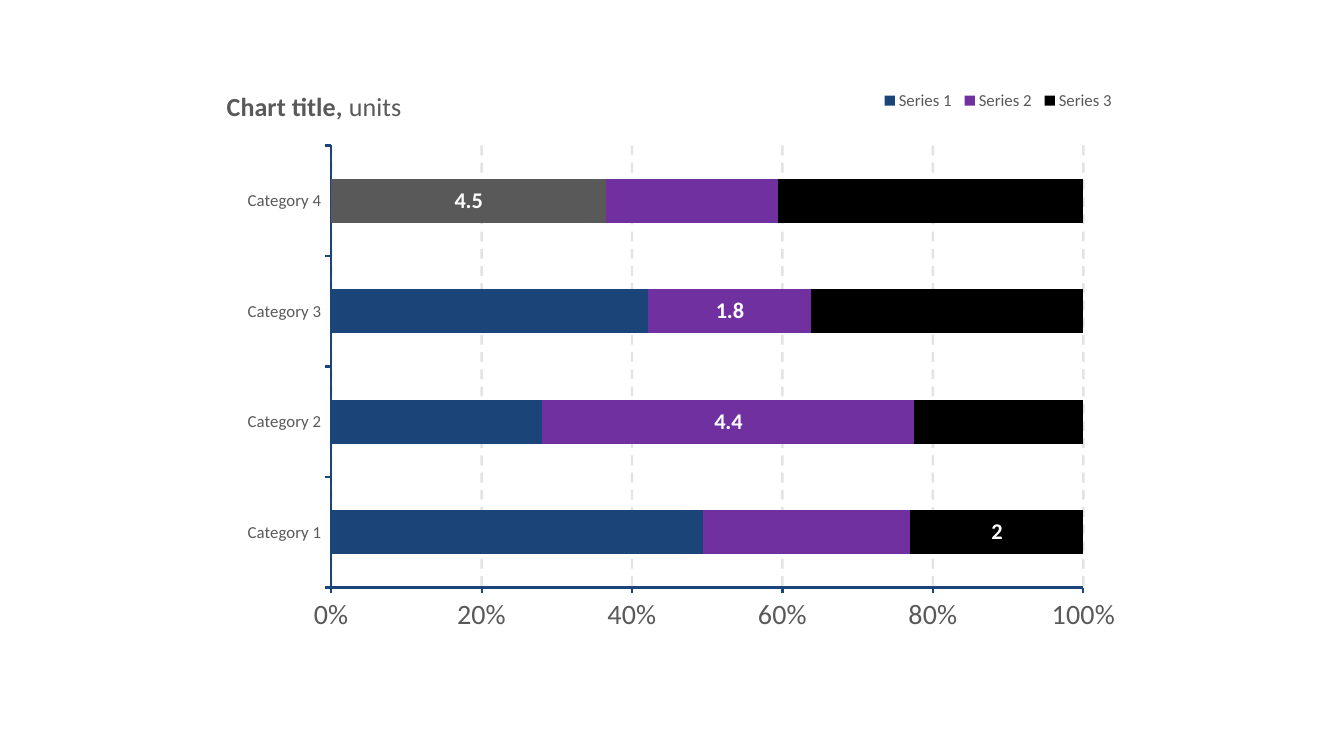
from dataclasses import dataclass

from lxml import etree
from pptx import Presentation
from pptx import util as u
from pptx.chart.data import CategoryChartData
from pptx.dml.color import RGBColor
from pptx.enum import chart as charts, dml
from pptx.oxml.ns import qn


@dataclass(frozen=True)
class Theme:
    font: str = "Calibri"
    navy: str = "1B4479"
    purple: str = "7030A0"
    black: str = "000000"
    gray: str = "595959"
    grid: str = "D9D9D9"
    white: str = "FFFFFF"
    base_size: float = 10
    small_size: float = 12
    label_size: float = 16
    title_size: float = 18.6
    scale_size: float = 20


class SlideBuilder:
    EMU_PER_PX = 9525

    def __init__(self, theme, width, height):
        self.theme = theme
        self.deck = Presentation()
        self.deck.slide_width = self.px(width)
        self.deck.slide_height = self.px(height)
        self.page = self.deck.slides.add_slide(self.deck.slide_layouts[6])

    def px(self, length):
        return u.Emu(length * self.EMU_PER_PX)

    def style(self, font, size, color, bold=False):
        font.name = self.theme.font
        font.size = u.Pt(size)
        font.bold = bold
        font.color.rgb = RGBColor.from_string(color)

    def stroke(self, line, color, width):
        line.color.rgb = RGBColor.from_string(color)
        line.width = u.Pt(width)

    def fill(self, target, color):
        target.format.fill.solid()
        target.format.fill.fore_color.rgb = RGBColor.from_string(color)

    def place(self, chart, tag, x, y, w=None, h=None):
        """Place a chart part by fractions of the chart area."""
        part = chart.element.xpath(f"//c:{tag}")[0]
        for old in part.findall(qn("c:layout")):
            part.remove(old)
        layout = etree.Element(qn("c:layout"))
        manual = etree.SubElement(layout, qn("c:manualLayout"))
        settings = {"xMode": "edge", "yMode": "edge", "x": x, "y": y, "w": w, "h": h}
        if tag == "plotArea":
            settings = {"layoutTarget": "inner", **settings}
        for name, value in settings.items():
            if value is not None:
                etree.SubElement(manual, qn(f"c:{name}"), val=str(value))
        part.insert(0 if tag == "plotArea" else 1, layout)

    def bar_chart(self, box, categories, series):
        data = CategoryChartData()
        data.categories = categories
        for name, values, *_ in series:
            data.add_series(name, values)
        frame = self.page.shapes.add_chart(
            charts.XL_CHART_TYPE.BAR_STACKED_100, *map(self.px, box), data)
        chart = frame.chart
        self.style(chart.font, self.theme.base_size, self.theme.black)
        plot = chart.plots[0]
        plot.gap_width, plot.overlap = 150, 100
        plot.vary_by_categories = False
        for bars, (_, _, color, labelled) in zip(plot.series, series):
            self.fill(bars, color)
            bars.data_labels.show_value = False
            for index in labelled:
                label = bars.points[index].data_label
                self.style(label.font, self.theme.label_size, self.theme.white, True)
                label.position = charts.XL_LABEL_POSITION.CENTER
        return chart

    def axis(self, axis, size, width):
        axis.major_tick_mark = charts.XL_TICK_MARK.OUTSIDE
        axis.minor_tick_mark = charts.XL_TICK_MARK.NONE
        self.style(axis.tick_labels.font, size, self.theme.gray)
        self.stroke(axis.format.line, self.theme.navy, width)

    def percent_scale(self, chart):
        axis = chart.value_axis
        axis.minimum_scale, axis.maximum_scale, axis.major_unit = 0, 1, 0.2
        axis.tick_labels.number_format = "0%"
        axis.tick_labels.number_format_is_linked = False
        axis.has_major_gridlines = True
        line = axis.major_gridlines.format.line
        self.stroke(line, self.theme.grid, 1.75)
        line.dash_style = dml.MSO_LINE.DASH
        color = chart.element.xpath("//c:majorGridlines//a:srgbClr")[0]
        etree.SubElement(color, qn("a:alpha"), val="72000")

    def title(self, chart, spans):
        chart.has_title = True
        para = chart.chart_title.text_frame.paragraphs[0]
        for words, bold in spans:
            span = para.add_run()
            span.text = words
            self.style(span.font, self.theme.title_size, self.theme.gray, bold)

    def legend(self, chart):
        chart.has_legend = True
        chart.legend.position = charts.XL_LEGEND_POSITION.RIGHT
        chart.legend.include_in_layout = False
        self.style(chart.legend.font, self.theme.small_size, self.theme.gray)


def main():
    theme = Theme()
    slide = SlideBuilder(theme, 1280, 720)

    # Stacked bars: name, values, colour, labelled points
    chart = slide.bar_chart(
        (213, 76, 853, 569),
        [f"Category {number}" for number in range(1, 5)],
        [("Series 1", (4.3, 2.5, 3.5, 4.5), theme.navy, [3]),
         ("Series 2", (2.4, 4.4, 1.8, 2.8), theme.purple, [1, 2]),
         ("Series 3", (2, 2, 3, 5), theme.black, [0])])
    slide.fill(chart.plots[0].series[0].points[3], theme.gray)

    # Axes and grid
    slide.axis(chart.category_axis, theme.small_size, 1.75)
    slide.axis(chart.value_axis, theme.scale_size, 1.5)
    slide.percent_scale(chart)

    # Title and legend
    slide.title(chart, [("Chart title, ", True), ("units", False)])
    slide.legend(chart)

    # Layout inside the chart area
    slide.place(chart, "plotArea", 0.12, 0.11, 0.84, 0.74)
    slide.place(chart, "title", 0.0, 0.01)
    slide.place(chart, "legend", 0.73, 0.01, 0.27, 0.05)

    slide.deck.save("out.pptx")


if __name__ == "__main__":
    main()
